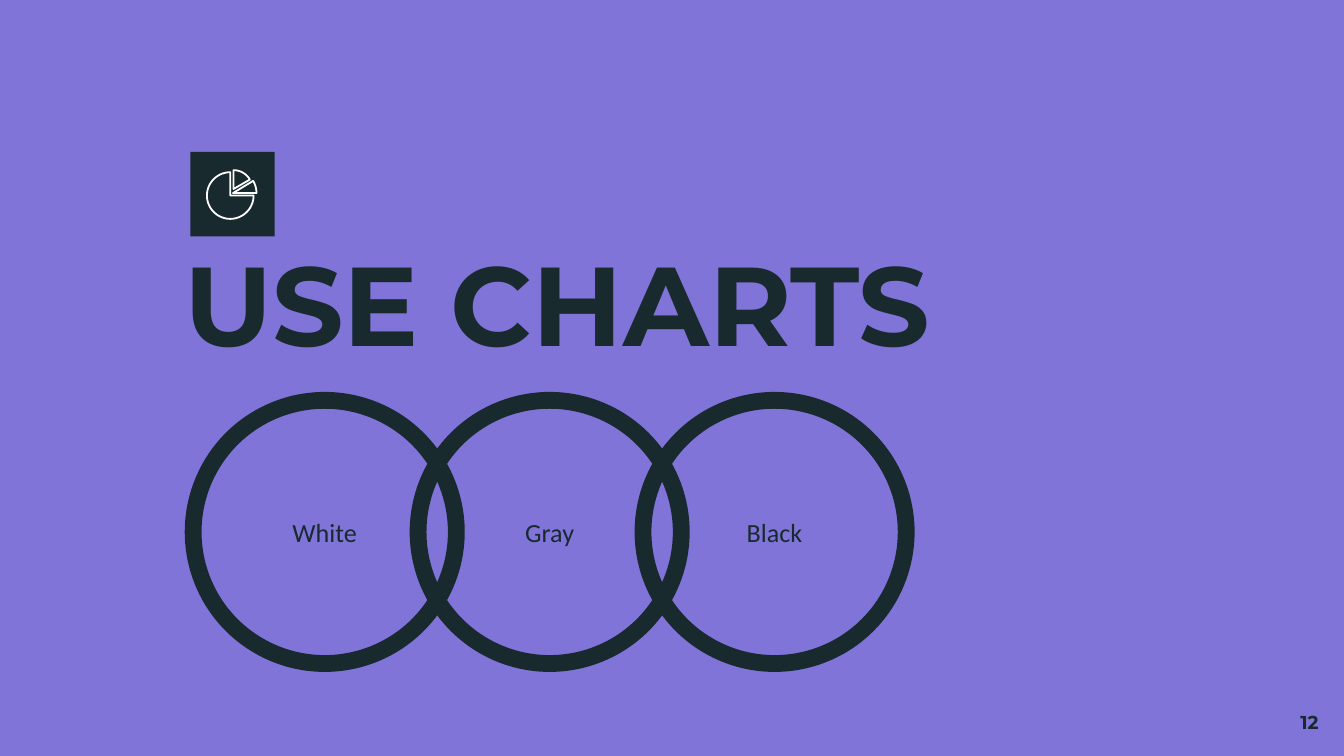
import math

from pptx import Presentation
from pptx.dml.color import RGBColor
from pptx.enum import shapes, text
from pptx.util import Pt

PURPLE = RGBColor(0x80, 0x74, 0xD9)
DARK = RGBColor(0x18, 0x2A, 0x2E)
WHITE = RGBColor(0xFF, 0xFF, 0xFF)


def write_text(shape, content, size, font="Montserrat", bold=False,
               align=text.PP_ALIGN.LEFT, anchor=text.MSO_ANCHOR.TOP, spacing=1.0):
    frame = shape.text_frame
    frame.word_wrap = True
    frame.auto_size = text.MSO_AUTO_SIZE.NONE
    frame.vertical_anchor = anchor
    frame.margin_left = frame.margin_right = Pt(7.2)
    frame.margin_top = frame.margin_bottom = Pt(7.2)
    para = frame.paragraphs[0]
    para.alignment = align
    para.line_spacing = spacing
    span = para.add_run()
    span.text = content
    span.font.name = font
    span.font.size = Pt(size)
    span.font.bold = bold
    span.font.color.rgb = DARK


def outline(shape, color, width):
    shape.shadow.inherit = False
    shape.fill.background()
    shape.line.color.rgb = color
    shape.line.width = Pt(width)


def add_title(page, content):
    title = page.shapes.title
    title.left, title.top, title.width, title.height = Pt(91.4), Pt(126.7), Pt(536.4), Pt(152)
    write_text(title, content, 60, bold=True, spacing=0.9)


def add_tile(page, left, top, size):
    tile = page.shapes.add_shape(shapes.MSO_SHAPE.RECTANGLE, Pt(left), Pt(top), Pt(size), Pt(size))
    tile.shadow.inherit = False
    tile.fill.solid()
    tile.fill.fore_color.rgb = DARK
    tile.line.fill.background()


def add_ring(page, left, top, size, label):
    ring = page.shapes.add_shape(shapes.MSO_SHAPE.OVAL, Pt(left), Pt(top), Pt(size), Pt(size))
    outline(ring, DARK, 9)
    write_text(ring, label, 14, font="Calibri", align=text.PP_ALIGN.CENTER,
               anchor=text.MSO_ANCHOR.MIDDLE)


def add_slice(page, x, y, radius, start, end):
    steps = max(8, (end - start) // 5)
    angles = [math.radians(start + (end - start) * i / steps) for i in range(steps + 1)]
    arc = [(Pt(x + radius * math.cos(a)), Pt(y + radius * math.sin(a))) for a in angles]
    builder = page.shapes.build_freeform(Pt(x), Pt(y))
    builder.add_line_segments(arc, close=True)
    outline(builder.convert_to_shape(), WHITE, 0.96)


def add_page_number(page, number):
    box = page.shapes.add_textbox(Pt(670.3), Pt(373.9), Pt(43.2), Pt(31))
    write_text(box, number, 10, bold=True, align=text.PP_ALIGN.RIGHT)


def main():
    deck = Presentation()
    deck.slide_width, deck.slide_height = Pt(720), Pt(405)
    page = deck.slides.add_slide(deck.slide_layouts[5])
    page.background.fill.solid()
    page.background.fill.fore_color.rgb = PURPLE

    add_tile(page, 102, 81.4, 45.2)
    add_title(page, "USE CHARTS")
    for index, label in enumerate(["White", "Gray", "Black"]):
        add_ring(page, 103.5 + 120.5 * index, 214.5, 141, label)
    add_slice(page, 123.4, 104.8, 12.5, 0, 270)
    add_slice(page, 125.1, 101.3, 10.1, -90, -30)
    add_slice(page, 124.8, 103.4, 12.6, -31, 0)
    add_page_number(page, "12")
    deck.save("out.pptx")


if __name__ == "__main__":
    main()
